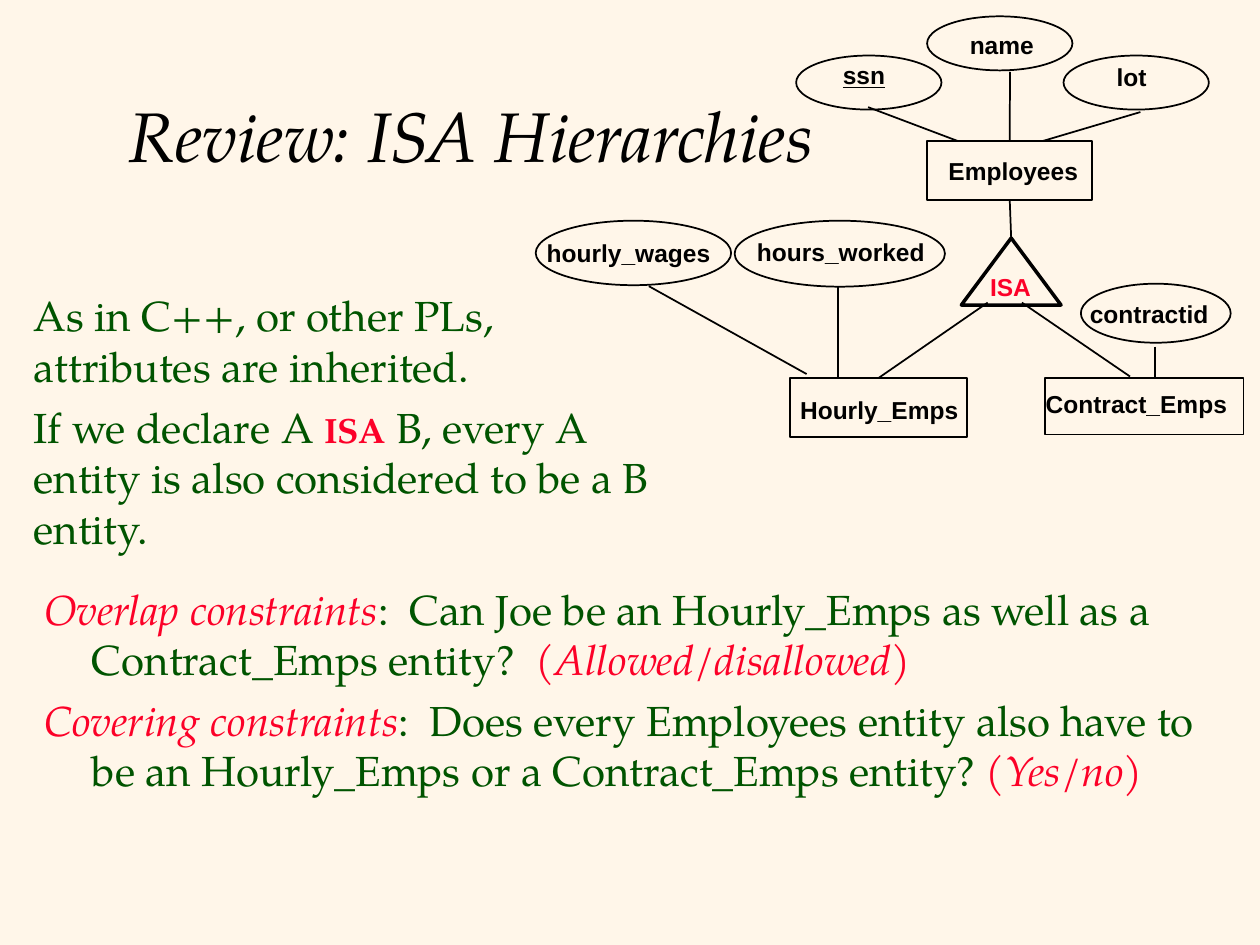
"""Build the slide reviewing ISA hierarchies in the ER model."""
from lxml.etree import SubElement
from pptx import Presentation
from pptx.dml.color import RGBColor
from pptx.enum.shapes import MSO_CONNECTOR, MSO_SHAPE
from pptx.enum.text import MSO_ANCHOR, MSO_AUTO_SIZE, PP_ALIGN
from pptx.oxml.ns import qn
from pptx.util import Cm, Pt

CREAM = RGBColor(0xFF, 0xF6, 0xE9)
BLACK = RGBColor(0, 0, 0)
GREEN = RGBColor(0, 0x54, 0)
RED = RGBColor(0xFC, 0x01, 0x28)
SERIF, SANS = "TeX Gyre Pagella", "Arial"

TITLE = "Review: ISA Hierarchies"
TITLE_BOX = (2.34, 1.17, 21.59, 3.07)

NOTES = [
    [("As in C++, or other PLs, attributes are inherited.", {})],
    [("If we declare A ", {}),
     ("ISA", dict(size=20, color=RED, bold=True)),
     (" B, every A entity is also considered to be a B entity.", {})],
]
NOTES_BOX = (0.43, 5.72, 13.03, 5.54)

RED_ITALIC = dict(color=RED, italic=True)
CONSTRAINTS = [
    [("Overlap constraints", RED_ITALIC),
     (":  Can Joe be an Hourly_Emps as well as a Contract_Emps entity?  ", {}),
     ("(", dict(color=RED)),
     ("Allowed/disallowed", RED_ITALIC),
     (")", dict(color=RED))],
    [("Covering constraints", RED_ITALIC),
     (":  Does every Employees entity also have to be an Hourly_Emps "
      "or a Contract_Emps entity?", {}),
     (" (Yes/no)", RED_ITALIC)],
]
CONSTRAINTS_BOX = (0.64, 11.63, 23.93, 6.15)

OVAL, RECT, TRIANGLE = MSO_SHAPE.OVAL, MSO_SHAPE.RECTANGLE, MSO_SHAPE.ISOSCELES_TRIANGLE
LABEL_HEIGHT = 0.84
NODES = [
    ("ssn", OVAL, (16.05, 1.12, 2.93, 1.09), (16.74, 1.09, 1.45), dict(underline=True)),
    ("name", OVAL, (18.69, 0.33, 2.93, 1.09), (19.3, 0.48, 1.85), {}),
    ("lot", OVAL, (21.44, 1.12, 2.93, 1.09), (22.26, 1.12, 1.2), {}),
    ("Employees", RECT, (18.69, 2.84, 3.33, 1.19), (18.87, 3.02, 3.2), {}),
    ("hourly_wages", OVAL, (10.8, 4.45, 3.94, 1.3), (10.77, 4.67, 3.9), {}),
    ("hours_worked", OVAL, (14.81, 4.45, 4.24, 1.33), (15.01, 4.65, 3.95), {}),
    ("contractid", OVAL, (21.79, 5.72, 3.02, 1.19), (21.72, 5.9, 2.95), {}),
    ("ISA", TRIANGLE, (19.38, 4.8, 2.01, 1.35), (19.71, 5.36, 1.45), dict(color=RED)),
    ("Hourly_Emps", RECT, (15.93, 7.62, 3.56, 1.19), (15.88, 7.83, 3.75), {}),
    ("Contract_Emps", RECT, (21.06, 7.62, 4.01, 1.14), (20.83, 7.72, 4.2), {}),
]

TOP, BOTTOM = 0, 2
LINKS = [
    ((17.5, 2.16), (19.3, 2.84)),
    ((20.36, 1.45), ("Employees", TOP)),
    ((22.99, 2.26), (21.03, 2.84)),
    (("Employees", BOTTOM), ("ISA", TOP)),
    ((13.08, 5.77), (16.26, 7.54)),
    ((16.89, 5.77), (16.89, 7.59)),
    ((19.91, 6.1), ("Hourly_Emps", TOP)),
    ((20.6, 6.1), (22.78, 7.59)),
    ((23.29, 6.99), (23.29, 7.62)),
]


def add_run(p, text, font=SERIF, size=24, color=GREEN, bold=False, italic=False,
            underline=False):
    r = p.add_run()
    r.text = text
    f = r.font
    f.name, f.size, f.color.rgb = font, Pt(size), color
    f.bold, f.italic, f.underline = bold, italic, underline


def place(sp, box):
    sp.left, sp.top, sp.width, sp.height = map(Cm, box)


def fill_paragraphs(tf, paragraphs, hanging=0):
    tf.word_wrap = True
    tf.auto_size = MSO_AUTO_SIZE.NONE
    tf.vertical_anchor = MSO_ANCHOR.TOP
    for i, runs in enumerate(paragraphs):
        p = tf.add_paragraph() if i else tf.paragraphs[0]
        pPr = p._p.get_or_add_pPr()
        pPr.set("marL", str(Cm(hanging)))
        pPr.set("indent", str(-Cm(hanging)))
        SubElement(pPr, qn("a:buNone"))
        p.space_before = Pt(6 if i else 0)
        for text, style in runs:
            add_run(p, text, **style)


def add_node(shapes, kind, box):
    sp = shapes.add_shape(kind, *map(Cm, box))
    sp.shadow.inherit = False
    sp.fill.background()
    sp.line.color.rgb = BLACK
    sp.line.width = Pt(2 if kind == TRIANGLE else 1)
    return sp


def add_label(shapes, text, box, style):
    tf = shapes.add_textbox(*map(Cm, (*box, LABEL_HEIGHT))).text_frame
    tf.word_wrap = False
    tf.auto_size = MSO_AUTO_SIZE.SHAPE_TO_FIT_TEXT
    add_run(tf.paragraphs[0], text,
            **{"font": SANS, "size": 14, "color": BLACK, "bold": True, **style})


def add_link(shapes, nodes, begin, end):
    points = [(0, 0) if a in nodes else (a, b) for a, b in (begin, end)]
    line = shapes.add_connector(MSO_CONNECTOR.STRAIGHT,
                                *(Cm(v) for point in points for v in point))
    for (a, b), join in ((begin, line.begin_connect), (end, line.end_connect)):
        if a in nodes:
            join(nodes[a], b)
    line.line.color.rgb = BLACK
    line.line.width = Pt(1)
    SubElement(line._element.spPr, qn("a:effectLst"))


def main():
    prs = Presentation()
    prs.slide_width, prs.slide_height = Cm(25.4), Cm(19.05)
    s = prs.slides.add_slide(prs.slide_layouts[1])
    s.background.fill.solid()
    s.background.fill.fore_color.rgb = CREAM

    title, body = s.shapes.title, s.placeholders[1]
    place(title, TITLE_BOX)
    title.text_frame.auto_size = MSO_AUTO_SIZE.NONE
    title.text_frame.vertical_anchor = MSO_ANCHOR.MIDDLE
    p = title.text_frame.paragraphs[0]
    p.alignment = PP_ALIGN.LEFT
    add_run(p, TITLE, size=40, color=BLACK, italic=True)

    place(body, CONSTRAINTS_BOX)
    fill_paragraphs(body.text_frame, CONSTRAINTS, hanging=0.96)
    notes = s.shapes.add_textbox(*map(Cm, NOTES_BOX))
    fill_paragraphs(notes.text_frame, NOTES)

    nodes = {name: add_node(s.shapes, kind, box) for name, kind, box, _, _ in NODES}
    for name, _, _, box, style in NODES:
        add_label(s.shapes, name, box, style)
    for begin, end in LINKS:
        add_link(s.shapes, nodes, begin, end)
    prs.save("out.pptx")


if __name__ == "__main__":
    main()
